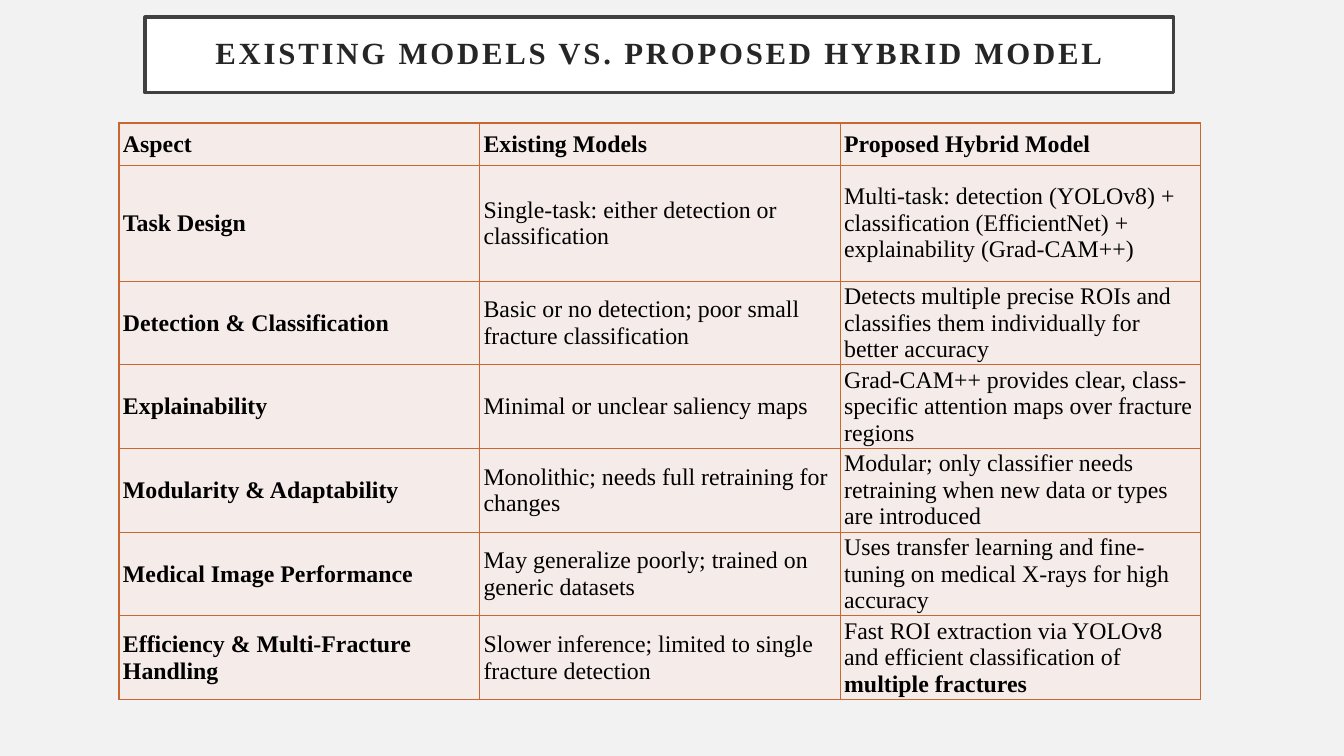
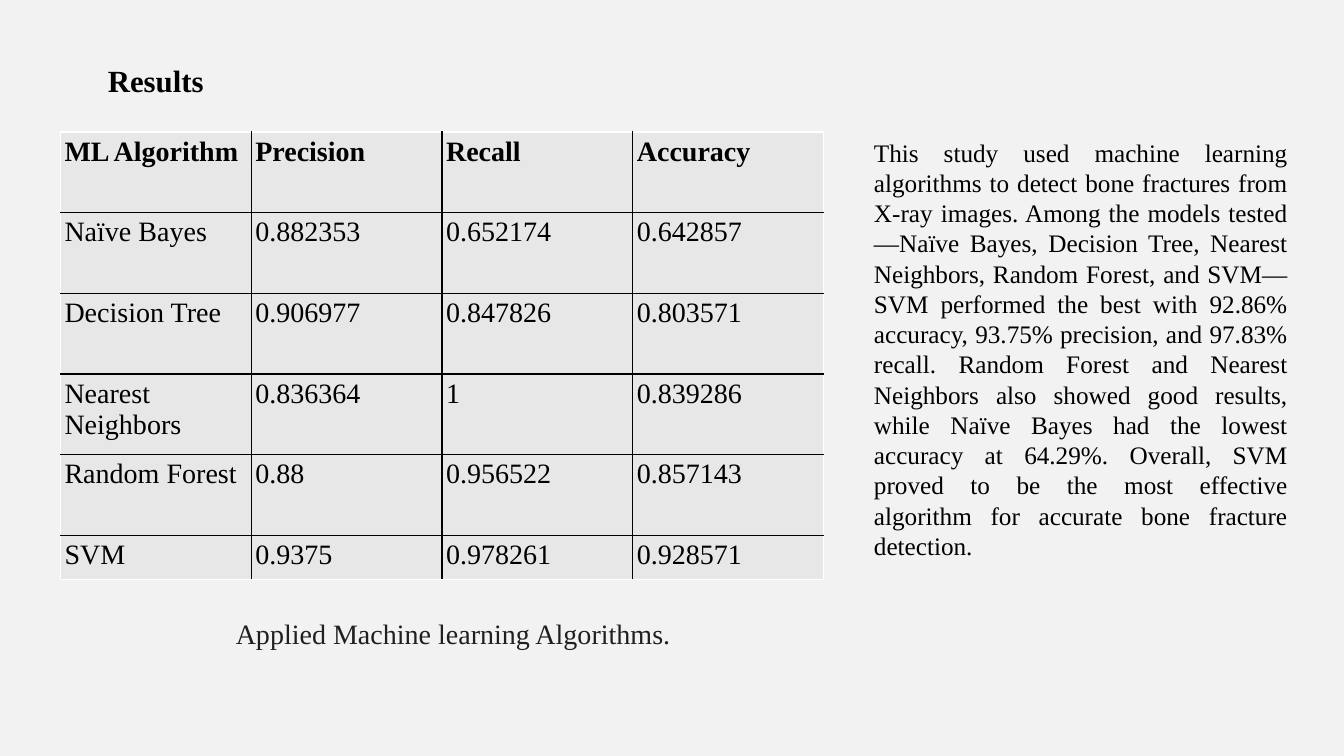
import pptx
import pptx.dml.color
import pptx.enum.text
import pptx.oxml
import pptx.oxml.ns
import pptx.util

COLORS = {
    "background": "F2F2F2", "white": "FFFFFF", "black": "000000",
    "title": "262626", "frame": "404040", "caption": "1F1F1F",
    "rust": "C96731", "blush": "F5EBE8", "grey": "E7E7E7",
}
FONT = "Times New Roman"
WIDTH, HEIGHT = 13.33, 7.5
TITLE_SIZE = 22
ALIGN = pptx.enum.text.PP_ALIGN
ANCHOR = pptx.enum.text.MSO_ANCHOR
TITLE_ONLY = 5

COMPARISON = [
    ["Aspect", "Existing Models", "Proposed Hybrid Model"],
    ["Task Design", "Single-task: either detection or classification",
     "Multi-task: detection (YOLOv8) + classification (EfficientNet) + "
     "explainability (Grad-CAM++)"],
    ["Detection & Classification",
     "Basic or no detection; poor small fracture classification",
     "Detects multiple precise ROIs and classifies them individually for better accuracy"],
    ["Explainability", "Minimal or unclear saliency maps",
     "Grad-CAM++ provides clear, class-specific attention maps over fracture regions"],
    ["Modularity & Adaptability", "Monolithic; needs full retraining for changes",
     "Modular; only classifier needs retraining when new data or types are introduced"],
    ["Medical Image Performance", "May generalize poorly; trained on generic datasets",
     "Uses transfer learning and fine-tuning on medical X-rays for high accuracy"],
    ["Efficiency & Multi-Fracture Handling",
     "Slower inference; limited to single fracture detection",
     "Fast ROI extraction via YOLOv8 and efficient classification of **multiple fractures**"],
]
SCORES = [
    ["ML Algorithm", "Precision", "Recall", "Accuracy"],
    ["Naïve Bayes", "0.882353", "0.652174", "0.642857"],
    ["Decision Tree", "0.906977", "0.847826", "0.803571"],
    ["Nearest Neighbors", "0.836364", "1", "0.839286"],
    ["Random Forest", "0.88", "0.956522", "0.857143"],
    ["SVM", "0.9375", "0.978261", "0.928571"],
]
SUMMARY = (
    "This study used machine learning algorithms to detect bone fractures from X-ray "
    "images. Among the models tested—Naïve Bayes, Decision Tree, Nearest Neighbors, "
    "Random Forest, and SVM—SVM performed the best with 92.86% accuracy, 93.75% "
    "precision, and 97.83% recall. Random Forest and Nearest Neighbors also showed good "
    "results, while Naïve Bayes had the lowest accuracy at 64.29%. Overall, SVM proved "
    "to be the most effective algorithm for accurate bone fracture detection."
)


def rgb(name):
    return pptx.dml.color.RGBColor.from_string(COLORS[name])


def inches(values):
    return [pptx.util.Inches(value) for value in values]


def write(frame, text, size, color="black", bold=False, align=ALIGN.LEFT,
          anchor=ANCHOR.TOP, wrap=True, line_spacing=None, tracking=None):
    """Fill a frame with one paragraph; ** switches bold on and off."""
    frame.word_wrap = wrap
    frame.vertical_anchor = anchor
    paragraph = frame.paragraphs[0]
    paragraph.alignment = align
    paragraph.line_spacing = line_spacing
    for index, part in enumerate(text.split("**")):
        if not part:
            continue
        run = paragraph.add_run()
        run.text = part
        run.font.name = FONT
        run.font.size = pptx.util.Pt(size)
        run.font.bold = bold or index % 2 == 1
        run.font.color.rgb = rgb(color)
        if tracking:
            run.font._element.set("spc", str(tracking * 100))


def add_text(slide, box, text, size, **text_format):
    shape = slide.shapes.add_textbox(*inches(box))
    write(shape.text_frame, text, size, **text_format)


def place_title(slide, box, text, **text_format):
    title = slide.shapes.title
    title.left, title.top, title.width, title.height = inches(box)
    title.text_frame.auto_size = pptx.enum.text.MSO_AUTO_SIZE.NONE
    write(title.text_frame, text, TITLE_SIZE, bold=True, anchor=ANCHOR.MIDDLE, **text_format)
    return title


def set_borders(cell, sides):
    """Draw 1 pt borders from a dict of side letter to colour name."""
    properties = cell._tc.get_or_add_tcPr()
    for position, side in enumerate("LRTB"):
        properties.insert(position, pptx.oxml.parse_xml(
            f'<a:ln{side} {pptx.oxml.ns.nsdecls("a")} w="12700"><a:solidFill>'
            f'<a:srgbClr val="{COLORS[sides[side]]}"/></a:solidFill></a:ln{side}>'))


def add_table(slide, box, rows, row_heights, size, fill, inner, outer,
              bold_first_column=False, vertical_margin=0.04, anchor=ANCHOR.TOP):
    """Place a table with equal columns, a bold header, and inner and outer line colours."""
    row_count, column_count = len(rows), len(rows[0])
    table = slide.shapes.add_table(row_count, column_count, *inches(box)).table
    table.first_row = table.horz_banding = False
    for column in table.columns:
        column.width = pptx.util.Inches(box[2] / column_count)
    for row_index, (texts, height) in enumerate(zip(rows, row_heights)):
        table.rows[row_index].height = pptx.util.Inches(height)
        for column_index, text in enumerate(texts):
            cell = table.cell(row_index, column_index)
            cell.fill.solid()
            cell.fill.fore_color.rgb = rgb(fill)
            cell.margin_left = cell.margin_right = pptx.util.Inches(0.04)
            cell.margin_top = cell.margin_bottom = pptx.util.Inches(vertical_margin)
            bold = row_index == 0 or (bold_first_column and column_index == 0)
            write(cell.text_frame, text, size, bold=bold)
            cell.vertical_anchor = anchor
            at_edge = {"L": column_index == 0, "R": column_index == column_count - 1,
                       "T": row_index == 0, "B": row_index == row_count - 1}
            set_borders(cell, {side: outer if edge else inner
                               for side, edge in at_edge.items()})


def build_comparison(slide):
    title = place_title(slide, (1.44, 0.17, 10.2, 0.75),
                        "EXISTING MODELS VS. PROPOSED HYBRID MODEL", color="title",
                        align=ALIGN.CENTER, line_spacing=0.9, tracking=2)
    title.fill.solid()
    title.fill.fore_color.rgb = rgb("white")
    title.line.color.rgb = rgb("frame")
    title.line.width = pptx.util.Pt(2.5)
    frame = title.text_frame
    frame.margin_left = frame.margin_right = pptx.util.Inches(0.2)
    frame.margin_top = frame.margin_bottom = pptx.util.Inches(0.2)
    row_heights = [0.42, 1.15] + [0.79] * 5
    add_table(slide, (1.18, 1.22, 10.73, sum(row_heights)), COMPARISON, row_heights,
              size=17, fill="blush", inner="rust", outer="rust",
              bold_first_column=True, vertical_margin=0.02, anchor=ANCHOR.MIDDLE)


def build_results(slide):
    top = 1.31
    row_heights = [0.8] * 5 + [0.44]
    place_title(slide, (0.97, 0.56, 1.16, 0.47), "Results", wrap=False)
    add_table(slide, (0.6, top, 7.57, sum(row_heights)), SCORES, row_heights,
              size=20, fill="grey", inner="black", outer="white")
    add_text(slide, (2.24, 6.05, 4.54, 0.47), "Applied Machine learning Algorithms.", 20,
             color="caption", anchor=ANCHOR.MIDDLE, wrap=False)
    add_text(slide, (8.57, top, 4.3, 4.34), SUMMARY, 18, align=ALIGN.JUSTIFY)


def main():
    presentation = pptx.Presentation()
    presentation.slide_width, presentation.slide_height = inches((WIDTH, HEIGHT))
    background = presentation.slide_master.background.fill
    background.solid()
    background.fore_color.rgb = rgb("background")
    for build in (build_comparison, build_results):
        build(presentation.slides.add_slide(presentation.slide_layouts[TITLE_ONLY]))
    presentation.save("out.pptx")


if __name__ == "__main__":
    main()
